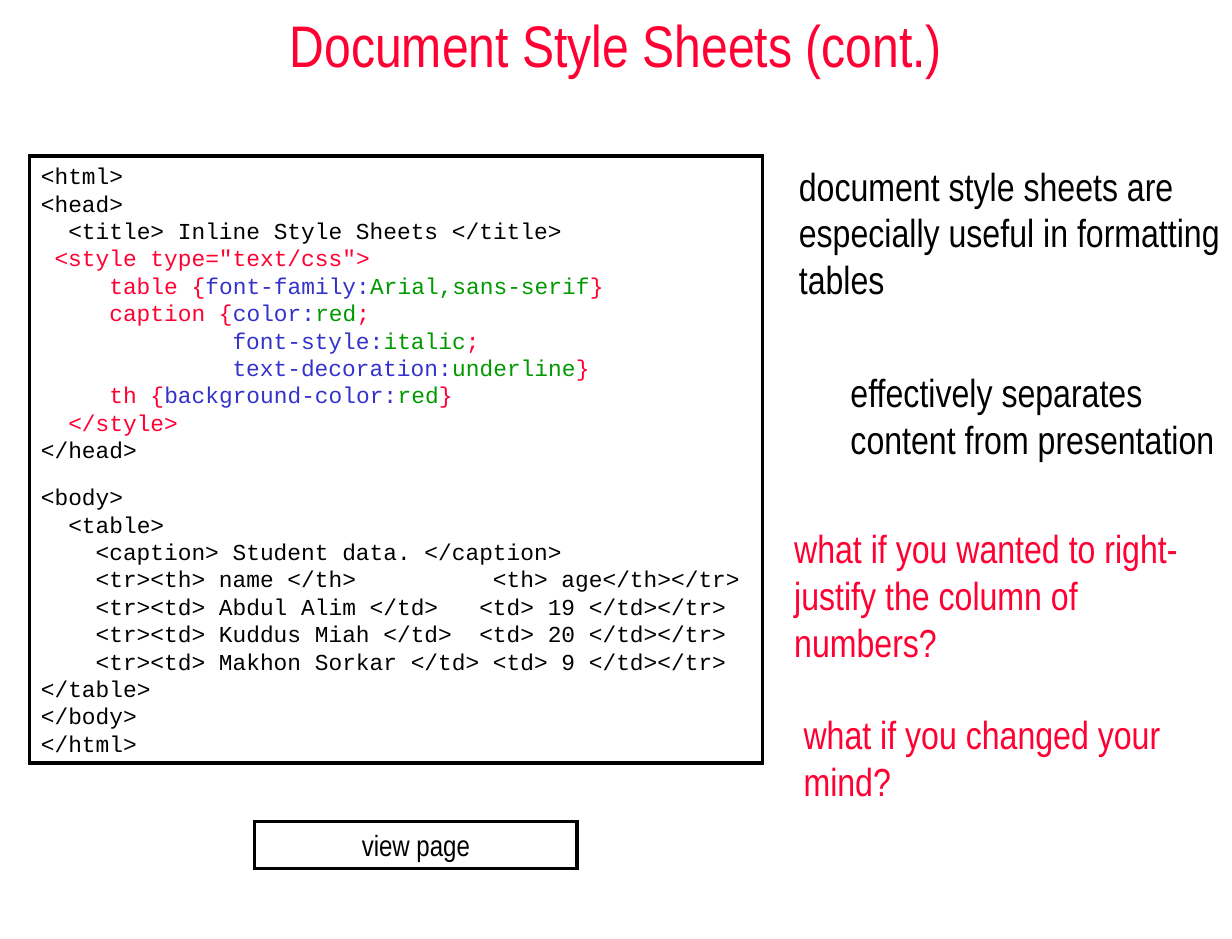
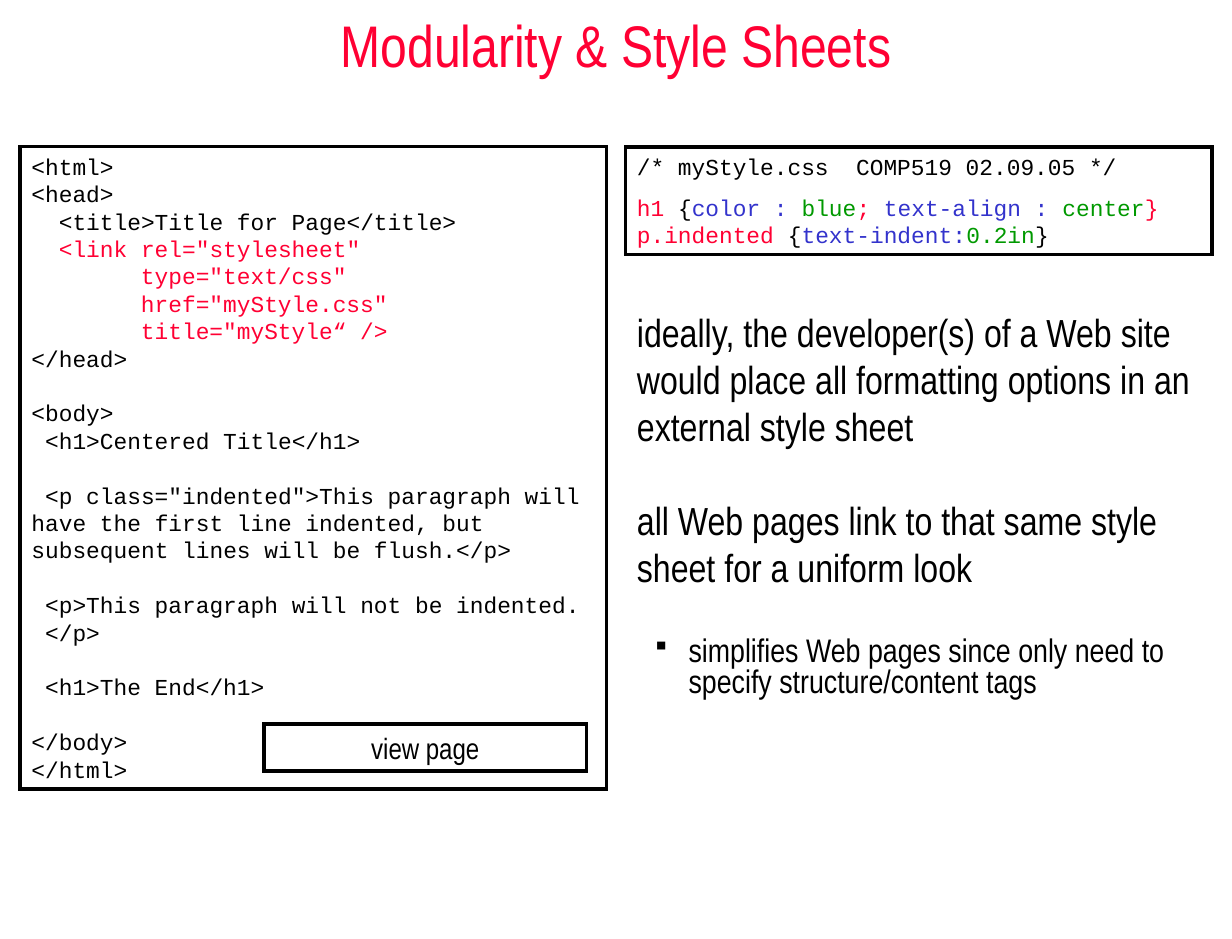
"""Build two slides on document and external style sheets."""
from lxml import etree
from pptx import Presentation
from pptx.dml.color import RGBColor
from pptx.enum.shapes import MSO_SHAPE
from pptx.enum.text import MSO_ANCHOR, MSO_AUTO_SIZE, PP_ALIGN
from pptx.oxml.ns import qn
from pptx.util import Inches, Pt

RECT = MSO_SHAPE.RECTANGLE
TOP, MIDDLE = MSO_ANCHOR.TOP, MSO_ANCHOR.MIDDLE
GROW, FIXED = MSO_AUTO_SIZE.SHAPE_TO_FIT_TEXT, MSO_AUTO_SIZE.NONE
LEFT, CENTER = PP_ALIGN.LEFT, PP_ALIGN.CENTER

BLACK = RGBColor(0x00, 0x00, 0x00)
RED = RGBColor(0xFF, 0x00, 0x33)
BLUE = RGBColor(0x33, 0x33, 0xCC)
GREEN = RGBColor(0x00, 0x99, 0x00)
PROSE, CODE = "Arial Narrow", "Courier New"
CODE_SIZE = 14
CHAR = CODE_SIZE * 0.6
LINE_GAP = 16.8


def rule(start, prop, value, end):
    """Return the coloured runs of one style rule."""
    return [(start, RED), (prop, BLUE), (value, GREEN), (end, RED)]


INLINE = [
    "<html>",
    "<head>",
    "  <title> Inline Style Sheets </title>",
    [(' <style type="text/css">', RED)],
    rule("     table {", "font-family:", "Arial,sans-serif", "}"),
    rule("     caption {", "color:", "red", ";"),
    rule("              ", "font-style:", "italic", ";"),
    rule("              ", "text-decoration:", "underline", "}"),
    rule("     th {", "background-color:", "red", "}"),
    [("  </style>", RED)],
    "</head>",
    12.0,
    "<body>",
    "  <table>",
    "    <caption> Student data. </caption>",
    "    <tr><th> name </th>          <th> age</th></tr>",
    "    <tr><td> Abdul Alim </td>   <td> 19 </td></tr>",
    "    <tr><td> Kuddus Miah </td>  <td> 20 </td></tr>",
    "    <tr><td> Makhon Sorkar </td> <td> 9 </td></tr>",
    "</table>",
    "</body>",
    "</html>",
]
LINKED = [
    "<html>",
    "<head>",
    "  <title>Title for Page</title>",
    [('  <link rel="stylesheet"', RED)],
    [('        type="text/css"', RED)],
    [('        href="myStyle.css"', RED)],
    [('        title="myStyle“ />', RED)],
    "</head>",
    LINE_GAP,
    "<body>",
    " <h1>Centered Title</h1>",
    LINE_GAP,
    ' <p class="indented">This paragraph will have the first line indented, '
    "but subsequent lines will be flush.</p>",
    LINE_GAP,
    " <p>This paragraph will not be indented.",
    " </p>",
    LINE_GAP,
    " <h1>The End</h1>",
    LINE_GAP,
    "</body>",
    "</html>",
]
SHEET = [
    "/* myStyle.css  COMP519 02.09.05 */",
    8.4,
    [("h1", RED), (" {", BLACK), ("color : ", BLUE), ("blue", GREEN),
     ("; ", RED), ("text-align : ", BLUE), ("center", GREEN), ("}", RED)],
    [("p.indented", RED), (" {", BLACK), ("text-indent:", BLUE),
     ("0.2in", GREEN), ("}", BLACK)],
]

PLAIN = dict(size=24, color=BLACK, gap=0, left=0, bullet=False)
SLIDES = [
    dict(
        title="Document Style Sheets (cont.)",
        notes=[
            ((6.71, 1.33, 3.79, 2.92), [
                dict(text="document style sheets are especially useful in "
                          "formatting tables"),
                dict(text="effectively separates content from presentation",
                     gap=40.5, left=0.44)]),
            ((6.67, 4.42, 3.52, 1.33), [
                dict(text="what if you wanted to right-justify the column of "
                          "numbers?", color=RED)]),
            ((6.75, 6, 3.52, 0.92), [
                dict(text="what if you changed your mind?", color=RED)]),
        ],
        code=[((0.25, 1.33, 6.25, 5.17), INLINE)],
        button=(2.17, 7, 2.75, 0.4),
    ),
    dict(
        title="Modularity & Style Sheets",
        notes=[
            ((5.33, 2.58, 4.92, 3.67), [
                dict(text="ideally, the developer(s) of a Web site would place "
                          "all formatting options in an external style sheet"),
                dict(text="all Web pages link to that same style sheet for a "
                          "uniform look", gap=28.8),
                dict(text="simplifies Web pages since only need to specify "
                          "structure/content tags",
                     size=20, gap=28.8, left=0.44, bullet=True)]),
        ],
        code=[((0.17, 1.25, 5, 5.47), LINKED), ((5.33, 1.25, 5, 0.92), SHEET)],
        button=(2.25, 6.17, 2.75, 0.4),
    ),
]


def add_run(para, text, font, size, color):
    """Append one formatted run."""
    run = para.add_run()
    run.text = text
    run.font.name = font
    run.font.size = Pt(size)
    run.font.color.rgb = color


def next_para(frame):
    """Return the unused first paragraph or a new one."""
    first = frame.paragraphs[0]
    return frame.add_paragraph() if first.runs else first


def set_frame(frame, anchor=TOP, size=FIXED):
    """Give a text frame the shared insets and wrapping."""
    frame.word_wrap = True
    frame.auto_size = size
    frame.vertical_anchor = anchor
    frame.margin_left = frame.margin_right = Inches(0.1)
    frame.margin_top = frame.margin_bottom = Inches(0.05)
    return frame


def add_title(slide, text):
    """Place the title across the top."""
    title = slide.shapes.title
    title.left = title.top = 0
    title.width, title.height = Inches(10.5), Inches(0.75)
    para = set_frame(title.text_frame, MIDDLE).paragraphs[0]
    para.alignment = CENTER
    add_run(para, text, PROSE, 36, RED)


def add_box(slide, place):
    """Draw a sharp-cornered outlined box and return its text frame."""
    box = slide.shapes.add_shape(RECT, *map(Inches, place))
    box.shadow.inherit = False
    box.fill.background()
    box.line.color.rgb = BLACK
    box.line.width = Pt(2.25)
    outline = box.line._get_or_add_ln()
    etree.SubElement(outline, qn("a:miter"), lim="800000")
    return set_frame(box.text_frame, size=GROW)


def add_code(slide, place, lines):
    """Fill a box with code; numbers are gaps, leading spaces indents."""
    frame = add_box(slide, place)
    gap = 0
    for line in lines:
        if isinstance(line, float):
            gap = line
            continue
        runs = [(line, BLACK)] if isinstance(line, str) else line
        start, color = runs[0]
        text = start.lstrip(" ")
        para = next_para(frame)
        para.alignment = LEFT
        para.space_before = Pt(gap)
        gap = 0
        props = para._p.get_or_add_pPr()
        props.set("marL", "0")
        props.set("indent", str(Pt((len(start) - len(text)) * CHAR)))
        for part, hue in [(text, color), *runs[1:]]:
            if part:
                add_run(para, part, CODE, CODE_SIZE, hue)


def add_note(slide, place, items):
    """Add a text box of prose, with indents and bullets."""
    box = slide.shapes.add_textbox(*map(Inches, place))
    frame = set_frame(box.text_frame)
    for item in items:
        item = PLAIN | item
        para = next_para(frame)
        para.space_before = Pt(item["gap"])
        props = para._p.get_or_add_pPr()
        props.set("marL", str(Inches(item["left"])))
        if item["bullet"]:
            para.level = 1
            para.line_spacing = 0.8
            props.set("indent", str(Inches(-0.31)))
            etree.SubElement(props, qn("a:buSzPct"), val="75000")
            etree.SubElement(props, qn("a:buChar"), char="▪")
        add_run(para, item["text"], PROSE, item["size"], item["color"])


def main():
    """Build and save the deck."""
    deck = Presentation()
    deck.slide_width, deck.slide_height = Inches(10.5), Inches(8)
    for page in SLIDES:
        slide = deck.slides.add_slide(deck.slide_layouts[5])
        add_title(slide, page["title"])
        for place, items in page["notes"]:
            add_note(slide, place, items)
        for place, lines in page["code"]:
            add_code(slide, place, lines)
        label = add_box(slide, page["button"]).paragraphs[0]
        label.alignment = CENTER
        add_run(label, "view page", PROSE, 18, BLACK)
    deck.save("out.pptx")


if __name__ == "__main__":
    main()
